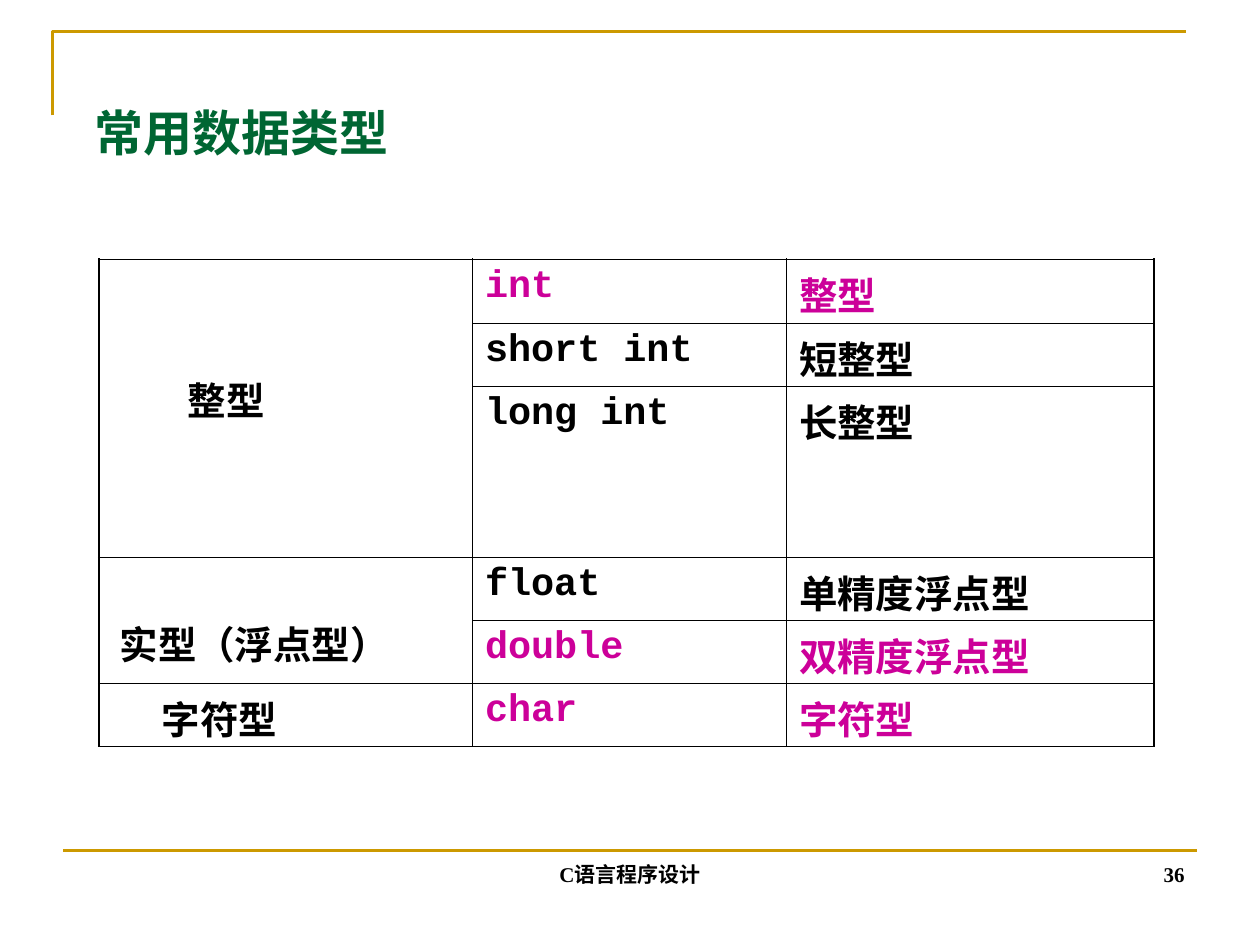
import lxml.etree
import pptx
import pptx.dml.color
import pptx.enum.text
import pptx.oxml
import pptx.oxml.ns
import pptx.util

COLUMNS, ROWS = 120, 90
BLACK, GOLD, GREEN, MAGENTA = "000000", "CC9900", "006633", "CC0099"
ALIGN = pptx.enum.text.PP_ALIGN
ANCHOR = pptx.enum.text.MSO_ANCHOR
CODE, LABEL, FOOTER = "Courier New", "Arial", "Times New Roman"

# group name, left and top inset in grid units, [(keyword, meaning, colour)]
GROUPS = [
    ("整型", 8.5, 10.6, [("int", "整型", MAGENTA),
                        ("short int", "短整型", BLACK),
                        ("long int", "长整型", BLACK)]),
    ("实型（浮点型）", 2, 5.5, [("float", "单精度浮点型", BLACK),
                             ("double", "双精度浮点型", MAGENTA)]),
    ("字符型", 6, 0.6, [("char", "字符型", MAGENTA)]),
]
COLUMN_WIDTHS = [35.6, 29.9, 35]
ROW_HEIGHTS = [6.1, 6, 16.3, 6, 6, 6]


def color(value):
    return pptx.dml.color.RGBColor.from_string(value)


class Deck:
    def __init__(self):
        self.prs = pptx.Presentation()
        self.prs.slide_width = pptx.util.Inches(10)
        self.prs.slide_height = pptx.util.Inches(7.5)
        self.s = self.prs.slides.add_slide(self.prs.slide_layouts[5])

    def x(self, columns):
        return round(self.prs.slide_width * columns / COLUMNS)

    def y(self, rows):
        return round(self.prs.slide_height * rows / ROWS)

    def box(self, left, top, width, height):
        return self.x(left), self.y(top), self.x(width), self.y(height)

    def add_text(self, tf, text, size, font, fill, align=ALIGN.LEFT):
        p = tf.paragraphs[0]
        p.alignment = align
        r = p.add_run()
        r.text = text
        style = {"size": pptx.util.Pt(size), "name": font, "bold": True}
        for key, value in style.items():
            setattr(r.font, key, value)
        r.font.color.rgb = color(fill)

    def title(self, text, *place):
        sp = self.s.shapes.title
        sp.left, sp.top, sp.width, sp.height = self.box(*place)
        tf = sp.text_frame
        tf.auto_size = pptx.enum.text.MSO_AUTO_SIZE.NONE
        tf.vertical_anchor = ANCHOR.MIDDLE
        self.add_text(tf, text, 28, CODE, GREEN)

    def footer(self, text, align, *place):
        tf = self.s.shapes.add_textbox(*self.box(*place)).text_frame
        tf.word_wrap = True
        tf.vertical_anchor = ANCHOR.BOTTOM
        self.add_text(tf, text, 12, FOOTER, BLACK, align)

    def stroke(self, sp):
        sp.line.color.rgb = color(GOLD)
        sp.line.width = pptx.util.Pt(1.5)

    def corner(self, *points):
        corners = [(self.x(c), self.y(r)) for c, r in points]
        builder = self.s.shapes.build_freeform(*corners[0])
        builder.add_line_segments(corners[1:], close=False)
        sp = builder.convert_to_shape()
        sp.fill.background()
        sp.shadow.inherit = False
        self.stroke(sp)

    def rule(self, left, right, row):
        sp = self.s.shapes.add_connector(1, self.x(left), self.y(row),
                                         self.x(right), self.y(row))
        self.stroke(sp)
        lxml.etree.SubElement(sp._element.spPr, pptx.oxml.ns.qn("a:effectLst"))

    def borders(self, cell, outer):
        """Draw the four sides, thicker where a side is on the table's edge."""
        tcPr = cell._tc.get_or_add_tcPr()
        for side in "LRTB":
            width = pptx.util.Pt(1.08 if side in outer else 0.45)
            tcPr.append(pptx.oxml.parse_xml(
                f'<a:ln{side} {pptx.oxml.ns.nsdecls("a")} w="{width}"><a:solidFill>'
                f'<a:srgbClr val="{BLACK}"/></a:solidFill></a:ln{side}>'))

    def cell(self, cell, text, font, fill, outer, inset=(1.2, 0.6)):
        cell.margin_left, cell.margin_top = self.x(inset[0]), self.y(inset[1])
        self.add_text(cell.text_frame, text, 22, font, fill)
        self.borders(cell, outer)
        cell.fill.background()

    def type_table(self, left, top):
        place = self.box(left, top, sum(COLUMN_WIDTHS), sum(ROW_HEIGHTS))
        table = self.s.shapes.add_table(len(ROW_HEIGHTS), len(COLUMN_WIDTHS), *place).table
        table.first_row = table.horz_banding = False
        for column, width in zip(table.columns, COLUMN_WIDTHS):
            column.width = self.x(width)
        for row, height in zip(table.rows, ROW_HEIGHTS):
            row.height = self.y(height)
        edges = {0: "T", len(ROW_HEIGHTS) - 1: "B"}
        first = 0
        for name, inset_x, inset_y, types in GROUPS:
            last = first + len(types) - 1
            head = table.cell(first, 0)
            if last > first:
                head.merge(table.cell(last, 0))
            outer = "L" + edges.get(first, "") + edges.get(last, "")
            self.cell(head, name, LABEL, BLACK, outer, (inset_x, inset_y))
            for i, (keyword, meaning, fill) in enumerate(types, first):
                edge = edges.get(i, "")
                self.cell(table.cell(i, 1), keyword, CODE, fill, edge)
                self.cell(table.cell(i, 2), meaning, LABEL, fill, "R" + edge)
            first = last + 1


def main():
    deck = Deck()
    deck.corner((5, 11), (5, 3), (113, 3))
    deck.rule(6, 114, 81)
    deck.footer("C语言程序设计", ALIGN.CENTER, 41, 79, 38, 6)
    deck.footer("36", ALIGN.RIGHT, 86, 79, 28, 6)
    deck.type_table(9.4, 24.7)
    deck.title("常用数据类型", 7.8, 9.2, 39.1, 6.8)
    deck.prs.save("out.pptx")


if __name__ == "__main__":
    main()
